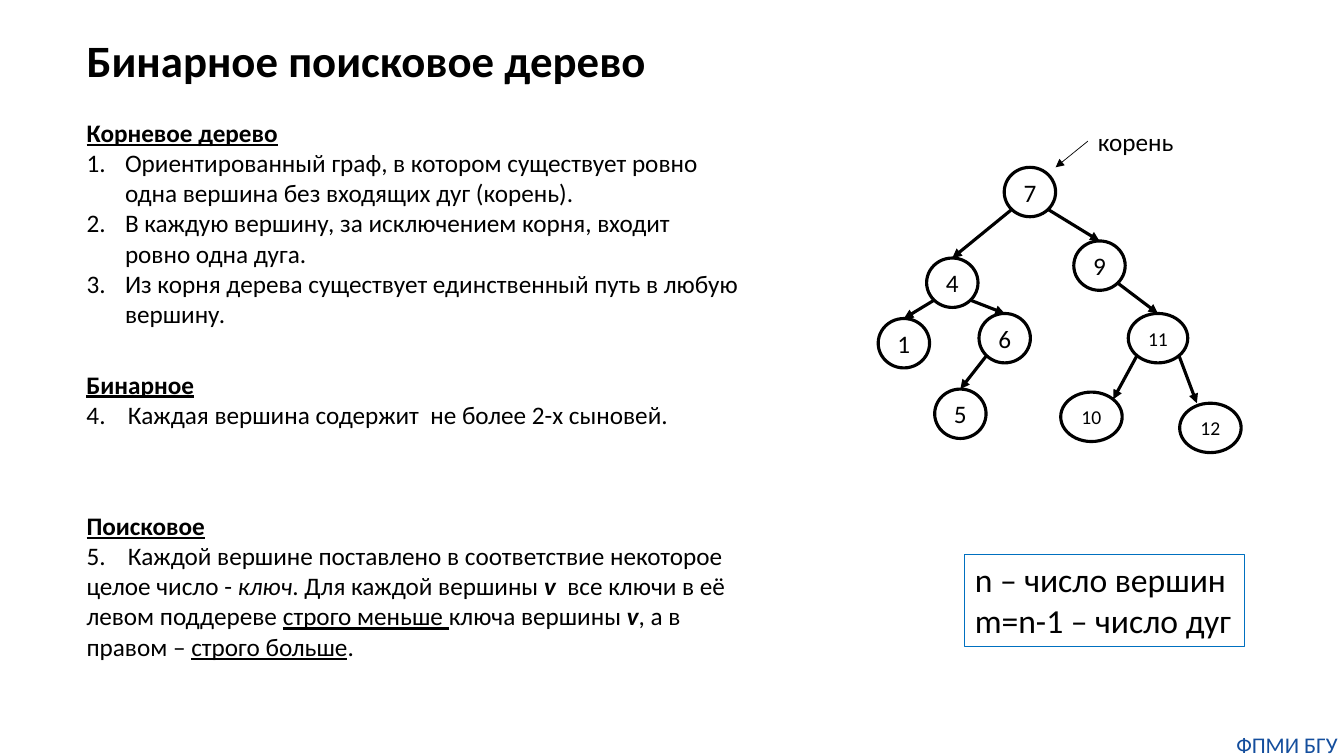
from collections import namedtuple
from math import sqrt

from lxml.etree import SubElement
from pptx import Presentation
from pptx.dml.color import RGBColor
from pptx.enum.shapes import MSO_CONNECTOR, MSO_SHAPE
from pptx.enum.text import MSO_ANCHOR, MSO_AUTO_SIZE, PP_ALIGN
from pptx.oxml.ns import qn
from pptx.util import Pt

PX = 9144  # one px is a hundredth of an inch
Box = namedtuple("Box", "left top width height")

THEME = {
    "font": "Calibri",
    "ink": RGBColor(0x00, 0x00, 0x00),
    "frame": RGBColor(0x00, 0x70, 0xC0),
    "footer": RGBColor(0x14, 0x4E, 0x9D),
    "title_size": 32, "formula_size": 24, "text_size": 18,
    "footer_size": 16, "small_size": 14,
    "edge_width": 2.25, "thin_width": 0.75, "pointer_width": 0.5,
}
HEADING = {"bold": True, "underline": True}
UNDERLINED = {"underline": True}
ITALIC = {"italic": True}
VERTEX = {"bold": True, "italic": True}
NO_INSETS = dict.fromkeys(
    ("margin_left", "margin_top", "margin_right", "margin_bottom"), 0)
LIST_INDENT = 38
TAB_STOP = 41

# Tree vertices: key -> left, top, width within the tree box
NODE_HEIGHT = 49
NODES = {
    "7": (125, 46, 51), "4": (48, 136, 51), "9": (194, 119, 51),
    "1": (0, 196, 51), "6": (100, 191, 51), "11": (248, 191, 59),
    "5": (56, 266, 51), "10": (181, 269, 61), "12": (299, 280, 61),
}
# Arcs: parent, child, side of the parent (-1 left, 1 right)
ARCS = [("7", "4", -1), ("7", "9", 1), ("4", "1", -1), ("4", "6", 1),
        ("6", "5", -1), ("9", "11", 1), ("11", "10", -1), ("11", "12", 1)]
DIAGONAL = 1 / sqrt(2)
# Arc ends away from the top of the child, in half-widths and half-heights
ARC_ENDS = {"10": (DIAGONAL, -DIAGONAL), "12": (-0.44, -1)}


def assign(target, values):
    for name, value in values.items():
        setattr(target, name, value)


def emu(box):
    return [length * PX for length in box]


def place(shape, box):
    assign(shape, dict(zip(Box._fields, emu(box))))


def write(frame, paras, size, color=THEME["ink"], align=PP_ALIGN.LEFT, **frame_format):
    """Fill a text frame; each paragraph is a list of (text, font format)."""
    assign(frame, {"word_wrap": True, "auto_size": MSO_AUTO_SIZE.NONE, **frame_format})
    for index, spans in enumerate(paras):
        para = frame.paragraphs[0] if index == 0 else frame.add_paragraph()
        assign(para, {"alignment": align, "space_before": Pt(0)})
        for text, font_format in spans:
            span = para.add_run()
            span.text = text
            assign(span.font, {"name": THEME["font"], "size": Pt(size), **font_format})
            span.font.color.rgb = color
    return frame


def add_text(page, box, paras, size, **options):
    shape = page.shapes.add_textbox(*emu(box))
    write(shape.text_frame, paras, size, **options)
    return shape


def outline(shape, color, width):
    shape.line.color.rgb = color
    shape.line.width = Pt(width)


def add_arrow(shapes, start, end, width):
    arrow = shapes.add_connector(MSO_CONNECTOR.STRAIGHT, *map(round, start + end))
    outline(arrow, THEME["ink"], width)
    SubElement(arrow.line._get_or_add_ln(), qn("a:tailEnd"), type="triangle")
    SubElement(arrow._element.spPr, qn("a:effectLst"))
    return arrow


def point_on(node, across, down):
    """Point at the given half-widths and half-heights from the centre."""
    return (node.left + node.width * (1 + across) / 2,
            node.top + node.height * (1 + down) / 2)


def add_title(page, box):
    title = page.shapes.title
    place(title, box)
    frame = write(title.text_frame, [[("Бинарное поисковое дерево", {"bold": True})]],
                  THEME["title_size"], vertical_anchor=MSO_ANCHOR.BOTTOM)
    frame.paragraphs[0].line_spacing = 0.9


def add_rooted_tree_list(page, box):
    body = page.placeholders[1]
    place(body, box)
    items = [
        "Ориентированный граф, в котором существует ровно одна вершина без входящих дуг (корень).",
        "В каждую вершину, за исключением корня, входит ровно одна дуга.",
        "Из корня дерева существует единственный путь в любую вершину.",
    ]
    frame = write(body.text_frame,
                  [[("Корневое дерево", HEADING)]] + [[(item, {})] for item in items],
                  THEME["text_size"], vertical_anchor=MSO_ANCHOR.TOP)
    for index, para in enumerate(frame.paragraphs):
        indent = LIST_INDENT * PX if index else 0
        props = para._p.get_or_add_pPr()
        props.set("marL", str(indent))
        props.set("indent", str(-indent))
        if index:
            SubElement(props, qn("a:buFont"), typeface=THEME["font"])
            SubElement(props, qn("a:buAutoNum"), type="arabicPeriod")
        else:
            SubElement(props, qn("a:buNone"))


def add_property(page, box, heading, spans):
    """A heading over one numbered statement, its number set off by a tab."""
    shape = add_text(page, box, [[(heading, HEADING)], spans], THEME["text_size"])
    props = shape.text_frame.paragraphs[1]._p.get_or_add_pPr()
    tabs = SubElement(props, qn("a:tabLst"))
    SubElement(tabs, qn("a:tab"), pos=str(TAB_STOP * PX), algn="l")


def add_tree(page, box):
    tree = page.shapes.add_group_shape().shapes
    nodes = {}
    # Vertices
    for key, (left, top, width) in NODES.items():
        node = tree.add_shape(MSO_SHAPE.OVAL, *emu(
            (box.left + left, box.top + top, width, NODE_HEIGHT)))
        node.shadow.inherit = False
        node.fill.background()
        outline(node, THEME["ink"], THEME["edge_width"])
        size = THEME["text_size" if len(key) == 1 else "small_size"]
        write(node.text_frame, [[(key, {})]], size, align=PP_ALIGN.CENTER,
              vertical_anchor=MSO_ANCHOR.MIDDLE, **NO_INSETS)
        nodes[key] = node
    # Arcs
    for parent, child, side in ARCS:
        start = point_on(nodes[parent], side * DIAGONAL, DIAGONAL)
        end = point_on(nodes[child], *ARC_ENDS.get(child, (0, -1)))
        arc = add_arrow(tree, start, end, THEME["edge_width"])
        if child not in ARC_ENDS:
            arc.end_connect(nodes[child], 0)
    # Root label and its pointer
    label = add_text(page, Box(box.left + 208, box.top, 96, 40), [[("корень", {})]],
                     THEME["text_size"], word_wrap=False,
                     auto_size=MSO_AUTO_SIZE.SHAPE_TO_FIT_TEXT)
    pointer = add_arrow(page.shapes, point_on(label, -1, 0),
                        point_on(nodes["7"], 1, -1), THEME["pointer_width"])
    pointer.begin_connect(label, 1)


def add_formula(page, box):
    panel = add_text(page, box, [[("n – число вершин", {})], [("m=n-1 – число дуг", {})]],
                     THEME["formula_size"], word_wrap=False,
                     auto_size=MSO_AUTO_SIZE.SHAPE_TO_FIT_TEXT)
    outline(panel, THEME["frame"], THEME["thin_width"])


def add_footer(page, box):
    add_text(page, box, [[("ФПМИ БГУ", {})]], THEME["footer_size"],
             color=THEME["footer"], align=PP_ALIGN.CENTER, **NO_INSETS)


def main():
    deck = Presentation()
    assign(deck, {"slide_width": 1333 * PX, "slide_height": 750 * PX})
    page = deck.slides.add_slide(deck.slide_layouts[1])
    add_title(page, Box(76, 34, 596, 58))
    add_rooted_tree_list(page, Box(76, 111, 667, 222))
    add_property(page, Box(76, 361, 667, 71), "Бинарное",
                 [("4.\tКаждая вершина содержит  не более 2-х сыновей.", {})])
    add_property(page, Box(76, 501, 671, 162), "Поисковое", [
        ("5.\tКаждой вершине поставлено в соответствие некоторое целое число - ", {}),
        ("ключ", ITALIC), (". Для каждой вершины ", {}), ("v ", VERTEX),
        (" все ключи в её левом поддереве ", {}), ("строго меньше ", UNDERLINED),
        ("ключа вершины ", {}), ("v", VERTEX), (", а в правом – ", {}),
        ("строго больше", UNDERLINED), (".", {}),
    ])
    add_tree(page, Box(871, 120, 360, 329))
    add_formula(page, Box(957, 550, 277, 91))
    add_footer(page, Box(1220, 725, 113, 27))
    deck.save("out.pptx")


if __name__ == "__main__":
    main()
